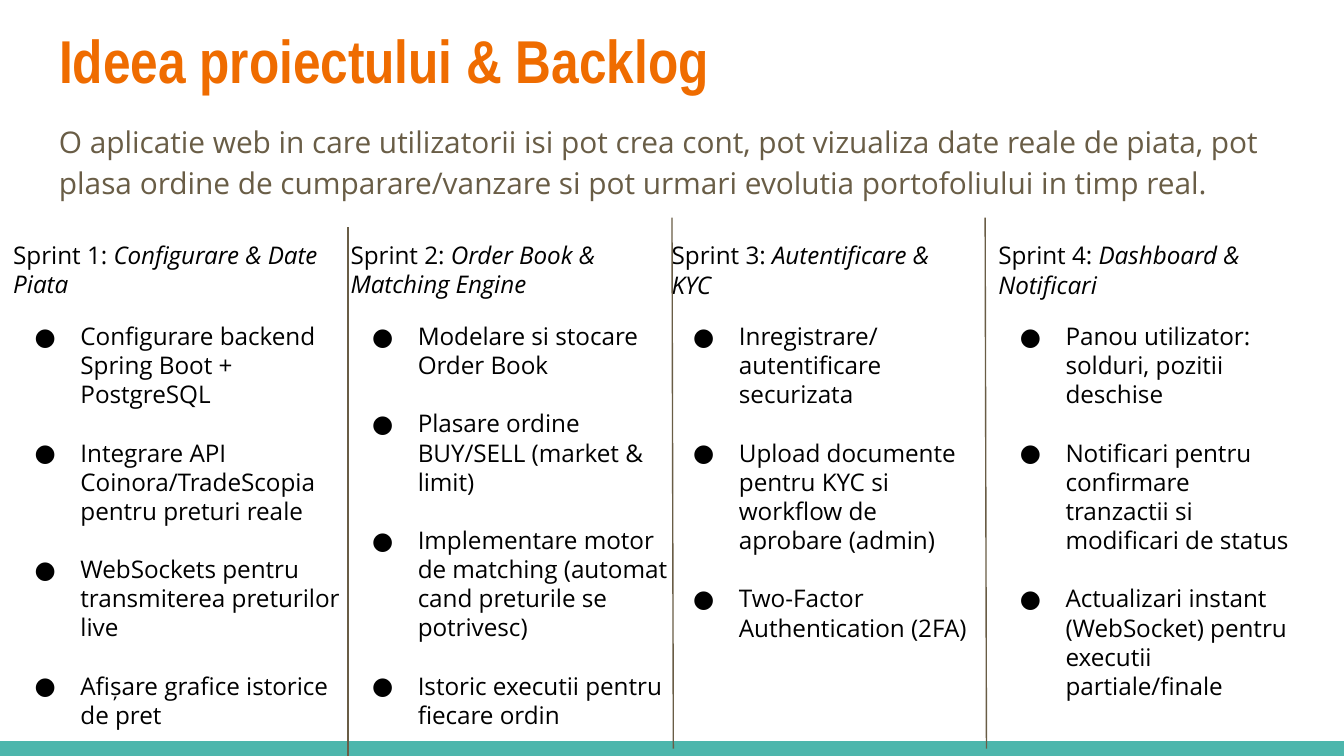
from lxml.etree import SubElement
from pptx import Presentation
from pptx.dml.color import RGBColor
from pptx.enum.shapes import MSO_CONNECTOR, MSO_SHAPE
from pptx.enum.text import MSO_ANCHOR, MSO_AUTO_SIZE, PP_ALIGN
from pptx.oxml.ns import qn
from pptx.util import Inches, Pt

WIDTH = 10
HEIGHT = WIDTH * 9 / 16
MARGIN = 0.34
BAND_HEIGHT = 0.11
SPRINT_TOP = 1.69
BULLET_INDENT, BULLET_HANG = 0.5, 0.34
HEADING_GAP, TASK_GAP = 12, 15.6
ORANGE, BROWN, TEAL, BLACK = "EF6C00", "695D46", "4DB6AC", "000000"

TITLE_FONT = {"name": "Arial Narrow", "size": Pt(32.4), "bold": True}
INTRO_FONT = {"name": "Open Sans", "size": Pt(16)}
SPRINT_FONT = {"name": "Open Sans", "size": Pt(13)}

INTRO = ("O aplicatie web in care utilizatorii isi pot crea cont, pot vizualiza date reale "
         "de piata, pot plasa ordine de cumparare/vanzare si pot urmari evolutia "
         "portofoliului in timp real.")

# left, width, height, label, theme, tasks
SPRINTS = [
    (0, 2.68, 3.83, "Sprint 1: ", "Configurare & Date Piata", [
        "Configurare backend Spring Boot + PostgreSQL",
        "Integrare API Coinora/TradeScopia pentru preturi reale",
        "WebSockets pentru transmiterea preturilor live",
        "Afișare grafice istorice de pret"]),
    (2.51, 2.68, 3.83, "Sprint 2: ", "Order Book & Matching Engine", [
        "Modelare si stocare Order Book",
        "Plasare ordine BUY/SELL (market & limit)",
        "Implementare motor de matching (automat cand preturile se potrivesc)",
        "Istoric executii pentru fiecare ordin"]),
    (4.9, 2.43, 3.59, "Sprint 3:", " Autentificare & KYC", [
        "Inregistrare/autentificare securizata",
        "Upload documente pentru KYC si workflow de aprobare (admin)",
        "Two-Factor Authentication (2FA)"]),
    (7.33, 2.43, 3.59, "Sprint 4: ", "Dashboard & Notificari", [
        "Panou utilizator: solduri, pozitii deschise",
        "Notificari pentru confirmare tranzactii si modificari de status",
        "Actualizari instant (WebSocket) pentru executii partiale/finale"]),
]
# top x, top, bottom x, bottom
DIVIDERS = [(2.59, 1.69, 2.59, HEIGHT), (5, 1.62, 5.01, 5.57), (7.33, 1.62, 7.34, 5.57)]


def rgb(color):
    return RGBColor.from_string(color)


def set_attributes(target, values):
    for name, value in values.items():
        setattr(target, name, value)


def add_run(paragraph, text, font, color, **extra):
    run = paragraph.add_run()
    run.text = text
    set_attributes(run.font, {**font, **extra})
    run.font.color.rgb = rgb(color)


def set_frame(shape):
    margins = {f"margin_{side}": Inches(0.1) for side in ("left", "top", "right", "bottom")}
    set_attributes(shape.text_frame, {**margins, "word_wrap": True,
                                      "auto_size": MSO_AUTO_SIZE.NONE,
                                      "vertical_anchor": MSO_ANCHOR.TOP})
    return shape.text_frame


def add_text_box(slide, left, top, width, height):
    return set_frame(slide.shapes.add_textbox(*map(Inches, (left, top, width, height))))


def set_bullet(paragraph):
    properties = paragraph._p.get_or_add_pPr()
    properties.set("marL", str(Inches(BULLET_INDENT)))
    properties.set("indent", str(-Inches(BULLET_HANG)))
    color = SubElement(properties, qn("a:buClr"))
    SubElement(color, qn("a:srgbClr"), val=BLACK)
    SubElement(properties, qn("a:buSzPts"), val=str(SPRINT_FONT["size"].centipoints))
    SubElement(properties, qn("a:buFont"), typeface=SPRINT_FONT["name"])
    SubElement(properties, qn("a:buChar"), char="●")


def add_band(slide):
    band = slide.shapes.add_shape(MSO_SHAPE.RECTANGLE, 0, Inches(HEIGHT - BAND_HEIGHT),
                                  Inches(WIDTH), Inches(BAND_HEIGHT))
    band.shadow.inherit = False
    band.fill.solid()
    band.fill.fore_color.rgb = rgb(TEAL)
    band.line.fill.background()


def add_title(slide, text):
    title = slide.shapes.title
    set_attributes(title, {"left": Inches(MARGIN), "top": Inches(0.07),
                           "width": Inches(WIDTH - 2 * MARGIN), "height": Inches(0.77)})
    paragraph = set_frame(title).paragraphs[0]
    paragraph.alignment = PP_ALIGN.LEFT
    add_run(paragraph, text, TITLE_FONT, ORANGE)


def add_intro(slide):
    frame = add_text_box(slide, MARGIN, 0.78, WIDTH - 2 * MARGIN, 0.91)
    paragraph = frame.paragraphs[0]
    paragraph.line_spacing = 1.15
    add_run(paragraph, INTRO, INTRO_FONT, BROWN)


def add_sprint(slide, left, width, height, label, theme, tasks):
    frame = add_text_box(slide, left, SPRINT_TOP, width, height)
    heading = frame.paragraphs[0]
    add_run(heading, label, SPRINT_FONT, BLACK)
    add_run(heading, theme, SPRINT_FONT, BLACK, italic=True)
    for index, task in enumerate(tasks):
        paragraph = frame.add_paragraph()
        paragraph.space_before = Pt(TASK_GAP if index else HEADING_GAP)
        set_bullet(paragraph)
        add_run(paragraph, task, SPRINT_FONT, BLACK)


def add_divider(slide, *ends):
    divider = slide.shapes.add_connector(MSO_CONNECTOR.STRAIGHT, *map(Inches, ends))
    divider.line.color.rgb = rgb(BROWN)
    divider.line.width = Pt(0.75)
    SubElement(divider._element.spPr, qn("a:effectLst"))


def main():
    presentation = Presentation()
    presentation.slide_width = Inches(WIDTH)
    presentation.slide_height = Inches(HEIGHT)
    slide = presentation.slides.add_slide(presentation.slide_layouts[5])
    add_band(slide)
    add_title(slide, "Ideea proiectului & Backlog")
    add_intro(slide)
    for sprint in SPRINTS:
        add_sprint(slide, *sprint)
    for divider in DIVIDERS:
        add_divider(slide, *divider)
    presentation.save("out.pptx")


if __name__ == "__main__":
    main()
